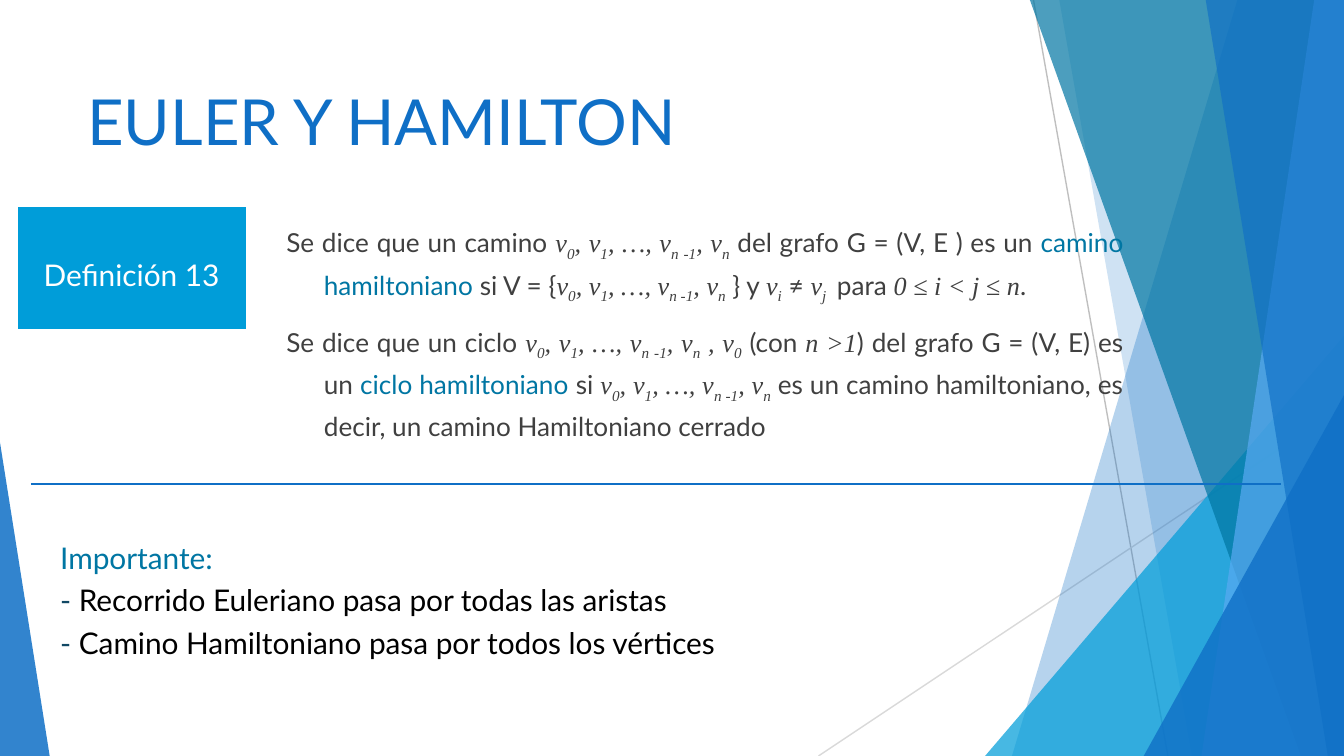
import pptx
import pptx.util
import pptx.dml.color
import pptx.enum.shapes
import pptx.enum.text
import pptx.oxml
import pptx.oxml.ns
from lxml import etree

Inches, Pt = pptx.util.Inches, pptx.util.Pt
Align, Anchor = pptx.enum.text.PP_ALIGN, pptx.enum.text.MSO_ANCHOR
Kind = pptx.enum.shapes.MSO_SHAPE
qn = pptx.oxml.ns.qn

HUES = {"blue": "0F6FC6", "cyan": "009DD9", "teal": "0076A3", "sky": "59AAF2",
        "gray": "404040", "dash": "114864", "black": "000000", "white": "FFFFFF",
        "mid": "BFBFBF", "pale": "D9D9D9"}
WIDE, TOP = 10, -0.01
HIGH = WIDE * 9 / 16

# Content: runs are (text, style)
TITLE = "EULER Y HAMILTON"
LABEL = "Definición 13"
SEQ = [("v", "math"), ("0", "sub"), (", v", "math"), ("1", "sub"),
       (", …, v", "math"), ("n -1", "sub"), (", v", "math"), ("n", "sub")]
BODY = [
    [("Se dice que un camino ", ""), *SEQ, (" del grafo G = (V, E ) es un ", ""),
     ("camino hamiltoniano ", "term"), ("si V = {", ""), *SEQ, (" } y ", ""),
     ("v", "math"), ("i", "sub"), (" ≠ ", ""), ("v", "math"), ("j ", "sub"),
     (" para ", ""), ("0 ≤ i < j ≤ n", "math"), (". ", "")],
    [("Se dice que un ciclo ", ""), *SEQ, (" , v", "math"), ("0", "sub"),
     (" (con ", ""), ("n >1", "math"), (") del grafo G = (V, E) es un ", ""),
     ("ciclo hamiltoniano ", "term"), ("si ", ""), *SEQ,
     (" es un camino hamiltoniano, es decir, un camino Hamiltoniano cerrado", "")],
]
HEAD = "Importante:"
NOTES = [" Recorrido Euleriano pasa por todas las aristas",
         " Camino Hamiltoniano pasa por todos los vértices "]

# Backdrop: bands run to the right edge; left edge goes from top x to foot x
RAYS = [(7.69, 0, 8.69, HIGH, "mid"), (WIDE, 3.02, 6.09, HIGH, "pale")]
BACK = [("band", 9.21, 7.53, "blue", 30), ("band", 7.88, 8.87, "blue", 20),
        ("peak", 7.33, 2.5, 2.67, 1, "cyan", 72),
        ("band", 7.66, 9.68, "teal", 70), ("band", 9.78, 8.94, "sky", 70),
        ("band", 8.97, 9.88, "blue", 65),
        ("peak", 8.51, 2.94, 1.49, 1, "blue", 80),
        ("peak", 0, 3.29, 0.37, 0, "blue", 85)]

deck = pptx.Presentation()
deck.slide_width, deck.slide_height = Inches(WIDE), Inches(HIGH)
slide = deck.slides.add_slide(deck.slide_layouts[1])
shapes = slide.shapes


def rgb(hue):
    return pptx.dml.color.RGBColor.from_string(HUES[hue])


def place(shape, *spot):
    shape.left, shape.top, shape.width, shape.height = map(Inches, spot)


def paint(shape, hue, alpha=100):
    shape.shadow.inherit = False
    shape.fill.solid()
    shape.fill.fore_color.rgb = rgb(hue)
    shape.line.fill.background()
    if alpha < 100:
        tint = shape.fill._xPr.find(".//" + qn("a:srgbClr"))
        etree.SubElement(tint, qn("a:alpha"), val=str(alpha * 1000))


def rule(x1, y1, x2, y2, hue, size):
    line = shapes.add_connector(pptx.enum.shapes.MSO_CONNECTOR.STRAIGHT,
                                *map(Inches, (x1, y1, x2, y2)))
    line.line.color.rgb, line.line.width = rgb(hue), Pt(size)
    etree.SubElement(line._element.spPr, qn("a:effectLst"))


def write(para, text, size=14, hue="gray", style=""):
    run = para.add_run()
    run.text = text
    font = run.font
    math = style in ("math", "sub")
    font.name = "Times New Roman" if math else "Lato"
    font.size, font.italic = Pt(size), math
    font.color.rgb = rgb("teal" if style == "term" else hue)
    if style == "sub":
        run._r.get_or_add_rPr().set("baseline", "-25000")


def setup(para, align=Align.LEFT, lead=1.0, before=0, after=0, dash=False, hang=0):
    para.alignment, para.line_spacing = align, lead
    para.space_before, para.space_after = Pt(before), Pt(after)
    props = para._p.get_or_add_pPr()
    props.set("marL", str(Inches(hang)))
    props.set("indent", str(-Inches(hang)))
    if dash:
        tint = etree.SubElement(props, qn("a:buClr"))
        etree.SubElement(tint, qn("a:srgbClr"), val=HUES["dash"])
        etree.SubElement(props, qn("a:buFont"), typeface="Lato")
        etree.SubElement(props, qn("a:buChar"), char="-")
    else:
        etree.SubElement(props, qn("a:buNone"))
    return para


def lines(frame, count):
    return [frame.paragraphs[0]] + [frame.add_paragraph() for _ in range(count - 1)]


# Backdrop
for *ends, hue in RAYS:
    rule(*ends, hue, 0.75)
for kind, *data in BACK:
    if kind == "band":
        head, foot, hue, alpha = data
        pen = shapes.build_freeform(Inches(head), Inches(TOP))
        pen.add_line_segments([(Inches(x), Inches(y)) for x, y in
                               ((WIDE, TOP), (WIDE, HIGH), (foot, HIGH))])
        form = pen.convert_to_shape()
    else:
        x, y, w, tip, hue, alpha = data
        form = shapes.add_shape(Kind.ISOSCELES_TRIANGLE,
                                *map(Inches, (x, y, w, HIGH - y)))
        form.adjustments[0] = tip
    paint(form, hue, alpha)

# Title and definition, brought in front of the backdrop
title, body = shapes.title, slide.placeholders[1]
for holder, spot, anchor in ((title, (0.55, 0.08, 9.3, 1.15), Anchor.BOTTOM),
                             (body, (2.03, 1.56, 6.43, 1.8), Anchor.MIDDLE)):
    place(holder, *spot)
    holder.text_frame.vertical_anchor = anchor
    holder.text_frame.auto_size = pptx.enum.text.MSO_AUTO_SIZE.NONE
    shapes._spTree.append(holder._element)
write(setup(title.text_frame.paragraphs[0]), TITLE, size=34, hue="blue")
for para, runs in zip(lines(body.text_frame, len(BODY)), BODY):
    setup(para, align=Align.JUSTIFY, lead=1.2, before=7.5, hang=0.28)
    for text, style in runs:
        write(para, text, style=style)

# Divider
rule(0.23, 3.6, 9.53, 3.6, "blue", 1)

# Key points
box = shapes.add_textbox(*map(Inches, (0.35, 3.91, 9.14, 1.36)))
box.text_frame.word_wrap = True
first, *rest = lines(box.text_frame, 1 + len(NOTES))
write(setup(first, lead=1.2), HEAD, size=16, hue="teal")
for para, text in zip(rest, NOTES):
    write(setup(para, lead=1.2, dash=True), text, size=16, hue="black")

# Label
tag = shapes.add_shape(Kind.RECTANGLE, *map(Inches, (0.16, 1.57, 1.64, 0.85)))
paint(tag, "cyan")
tag.line.color.rgb, tag.line.width = rgb("cyan"), Pt(4)
etree.SubElement(tag.line._get_or_add_ln(), qn("a:miter"), lim="800000")
frame = tag.text_frame
frame.word_wrap, frame.vertical_anchor = True, Anchor.MIDDLE
frame.margin_left = frame.margin_right = Inches(0.15)
frame.margin_top, frame.margin_bottom = Inches(0.2), Inches(0.1)
write(setup(frame.paragraphs[0], align=Align.CENTER, before=7, after=10),
      LABEL, size=16, hue="white")

deck.save("out.pptx")
